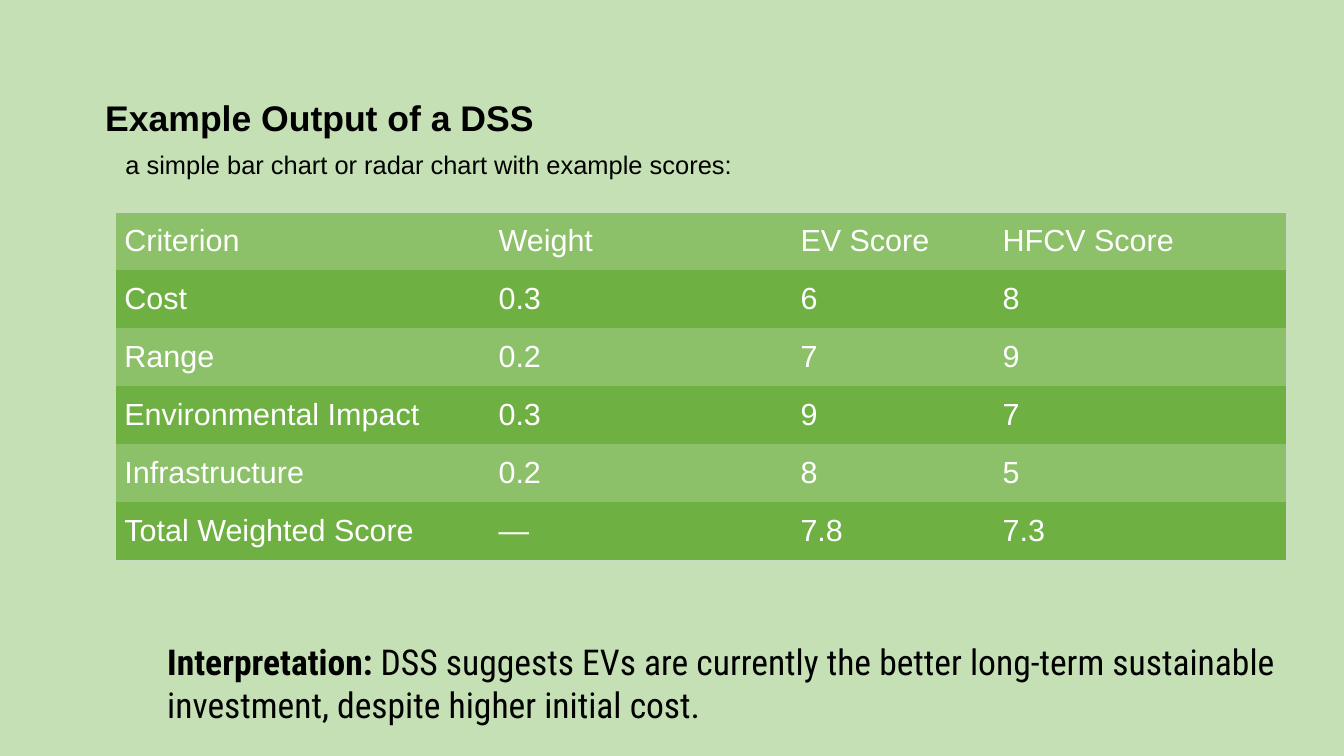
from dataclasses import dataclass

from lxml import etree
from pptx import Presentation
from pptx.dml.color import RGBColor
from pptx.enum import text as t
from pptx.oxml import ns
from pptx.util import Inches, Pt


@dataclass(frozen=True)
class Theme:
    background: str = "C5E0B4"
    ink: str = "000000"
    cell_ink: str = "FFFFFF"
    light_band: str = "8CC169"
    dark_band: str = "6FB043"
    border: str = "C9DBC1"
    font: str = "Arial"
    note_font: str = "Roboto Condensed"
    heading_size: int = 28
    subtitle_size: int = 20
    cell_size: int = 24
    border_width: float = 0.5


THEME = Theme()
PLAIN_TABLE_STYLE = "{2D5ABB26-0587-4C30-8999-92F81FD0307C}"
COLUMN_WIDTHS = (4.09, 3.3, 2.21, 3.2)
SCORES = (
    ("Criterion", "Weight", "EV Score", "HFCV Score"),
    ("Cost", "0.3", "6", "8"),
    ("Range", "0.2", "7", "9"),
    ("Environmental Impact", "0.3", "9", "7"),
    ("Infrastructure", "0.2", "8", "5"),
    ("Total Weighted Score", "—", "7.8", "7.3"),
)


def style_font(font, name, size, color, bold=False):
    font.name = name
    font.size = Pt(size)
    font.bold = bold
    font.color.rgb = RGBColor.from_string(color)


def place(box, left, top, width, height):
    box.left, box.top = Inches(left), Inches(top)
    box.width, box.height = Inches(width), Inches(height)


def fill_text(box, spans, font, size):
    frame = box.text_frame
    frame.word_wrap = True
    frame.auto_size = t.MSO_AUTO_SIZE.SHAPE_TO_FIT_TEXT
    frame.vertical_anchor = t.MSO_ANCHOR.TOP
    para = frame.paragraphs[0]
    para.alignment = t.PP_ALIGN.LEFT
    para.space_before = Pt(0)
    for words, bold in spans:
        span = para.add_run()
        span.text = words
        style_font(span.font, font, size, THEME.ink, bold)


def remove_bullet(para):
    properties = para._p.get_or_add_pPr()
    properties.set("marL", "0")
    properties.set("indent", "0")
    etree.SubElement(properties, ns.qn("a:buNone"))


def add_border(cell, side):
    line = etree.SubElement(cell._tc.get_or_add_tcPr(), ns.qn(f"a:ln{side}"))
    line.set("w", str(Pt(THEME.border_width)))
    fill = etree.SubElement(line, ns.qn("a:solidFill"))
    etree.SubElement(fill, ns.qn("a:srgbClr")).set("val", THEME.border)


def format_cell(cell, words, band, sides):
    cell.text = words
    cell.vertical_anchor = t.MSO_ANCHOR.MIDDLE
    style_font(cell.text_frame.paragraphs[0].runs[0].font,
               THEME.font, THEME.cell_size, THEME.cell_ink)
    for side in sides:
        add_border(cell, side)
    cell.fill.solid()
    cell.fill.fore_color.rgb = RGBColor.from_string(band)


def add_score_table(page):
    last_row, last_column = len(SCORES) - 1, len(COLUMN_WIDTHS) - 1
    table = page.shapes.add_table(
        len(SCORES), len(COLUMN_WIDTHS),
        Inches(1.26), Inches(2.32), Inches(12.8), Inches(3.8)).table
    table.first_row = table.horz_banding = False
    table._tbl.tblPr.find(ns.qn("a:tableStyleId")).text = PLAIN_TABLE_STYLE
    for column, width in zip(table.columns, COLUMN_WIDTHS):
        column.width = Inches(width)
    for r, row in enumerate(SCORES):
        band = THEME.dark_band if r % 2 else THEME.light_band
        for c, words in enumerate(row):
            edges = {"L": c == 0, "R": c == last_column,
                     "T": r == 0, "B": r == last_row}
            sides = [side for side, outer in edges.items() if outer]
            format_cell(table.cell(r, c), words, band, sides)


def add_heading(page):
    title = page.shapes.title
    place(title, 1.05, 1, 13.07, 0.57)
    fill_text(title, [("Example Output of a DSS", True)],
              THEME.font, THEME.heading_size)


def add_subtitle(page):
    body = page.placeholders[1]
    place(body, 1.27, 1.58, 11.26, 1.11)
    remove_bullet(body.text_frame.paragraphs[0])
    fill_text(body, [("a simple bar chart or radar chart with example scores:", False)],
              THEME.font, THEME.subtitle_size)


def add_interpretation(page):
    box = page.shapes.add_textbox(
        Inches(1.73), Inches(6.94), Inches(13.37), Inches(1.04))
    fill_text(box, [
        ("Interpretation:", True),
        (" DSS suggests EVs are currently the better long-term sustainable "
         "investment, despite higher initial cost.", False),
    ], THEME.note_font, THEME.heading_size)


def main():
    deck = Presentation()
    deck.slide_width, deck.slide_height = Inches(14.69), Inches(8.26)
    page = deck.slides.add_slide(deck.slide_layouts[1])
    page.background.fill.solid()
    page.background.fill.fore_color.rgb = RGBColor.from_string(THEME.background)
    add_heading(page)
    add_subtitle(page)
    add_score_table(page)
    add_interpretation(page)
    deck.save("out.pptx")


if __name__ == "__main__":
    main()
